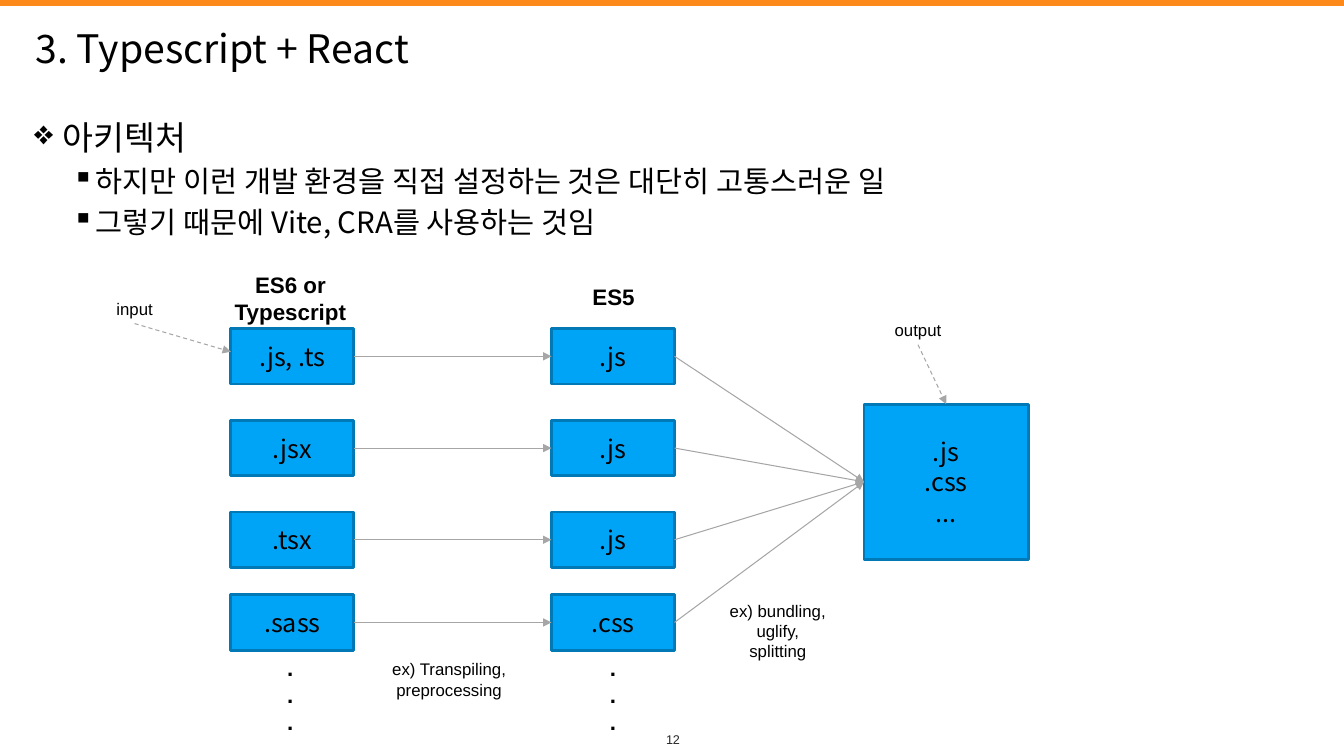
from lxml import etree
from pptx import Presentation
from pptx.dml.color import RGBColor
from pptx.enum.dml import MSO_LINE
from pptx.enum.shapes import MSO_CONNECTOR, MSO_SHAPE
from pptx.enum.text import MSO_ANCHOR, PP_ALIGN
from pptx.oxml.ns import qn
from pptx.util import Inches, Pt

RECT = MSO_SHAPE.RECTANGLE
STRAIGHT = MSO_CONNECTOR.STRAIGHT
DASH = MSO_LINE.DASH
MIDDLE = MSO_ANCHOR.MIDDLE
LEFT, CENTER = PP_ALIGN.LEFT, PP_ALIGN.CENTER
TOP_SIDE, LEFT_SIDE, BOTTOM_SIDE, RIGHT_SIDE = range(4)

NOTO, ARIAL = "Noto Sans CJK KR", "Arial"
BLACK, GRAY, BLUE, EDGE = "000000", "A6A6A6", "00A4F6", "0079B6"

BOX_W, BOX_H = 1.22, 0.55
IN_X, OUT_X = 2.29, 5.47
ROWS = [
    (3.26, ".js, .ts", ".js"),
    (4.17, ".jsx", ".js"),
    (5.08, ".tsx", ".js"),
    (5.9, ".sass", ".css"),
]
BULLETS = [
    # text, size, bullet, indent, hanging
    ("아키텍처", 24, "❖", 0.28, 0.28),
    ("하지만 이런 개발 환경을 직접 설정하는 것은 대단히 고통스러운 일", 21, "▪", 0.61, 0.23),
    ("그렇기 때문에 Vite, CRA를 사용하는 것임", 21, "▪", 0.61, 0.23),
]


def color(code):
    return RGBColor.from_string(code)


def style(par, size, font, align=LEFT, bold=False, code=BLACK):
    par.alignment = align
    for run in par.runs:
        run.font.size = Pt(size)
        run.font.name = font
        run.font.bold = bold
        run.font.color.rgb = color(code)
        props = run.font._element
        etree.SubElement(props, qn("a:ea")).set("typeface", font)


def add_label(slide, text, x, y, w, h, size=12, align=CENTER, bold=False, code=BLACK):
    label = slide.shapes.add_textbox(Inches(x), Inches(y), Inches(w), Inches(h))
    frame = label.text_frame
    frame.word_wrap = True
    frame.text = text
    for par in frame.paragraphs:
        style(par, size, ARIAL, align, bold, code)
    return label


def add_box(slide, text, x, y, w=BOX_W, h=BOX_H):
    box = slide.shapes.add_shape(RECT, Inches(x), Inches(y), Inches(w), Inches(h))
    box.shadow.inherit = False
    box.fill.solid()
    box.fill.fore_color.rgb = color(BLUE)
    box.line.color.rgb = color(EDGE)
    box.line.width = Pt(2)
    frame = box.text_frame
    frame.vertical_anchor = MIDDLE
    frame.text = text
    for par in frame.paragraphs:
        style(par, 18, NOTO, CENTER)
    return box


def add_arrow(slide, start, side, end, goal=LEFT_SIDE, dash=False):
    """Join a shape's side to another shape, or to an (x, y) point."""
    point = end if isinstance(end, tuple) else (0, 0)
    arrow = slide.shapes.add_connector(
        STRAIGHT, 0, 0, Inches(point[0]), Inches(point[1]))
    arrow.begin_connect(start, side)
    if not isinstance(end, tuple):
        arrow.end_connect(end, goal)
    arrow.line.color.rgb = color(GRAY)
    arrow.line.width = Pt(0.75)
    if dash:
        arrow.line.dash_style = DASH
    head = etree.SubElement(arrow.line._get_or_add_ln(), qn("a:tailEnd"))
    head.set("type", "triangle")
    etree.SubElement(arrow._element.spPr, qn("a:effectLst"))


def add_title(slide, text):
    title = slide.shapes.title
    title.left, title.top = Inches(0.25), Inches(0.15)
    title.width, title.height = Inches(12), Inches(0.65)
    title.text_frame.text = text
    title.text_frame.vertical_anchor = MIDDLE
    style(title.text_frame.paragraphs[0], 28, NOTO)


def add_bullets(slide):
    body = slide.shapes.add_textbox(
        Inches(0.24), Inches(1.11), Inches(12.85), Inches(1.4))
    frame = body.text_frame
    frame.word_wrap = True
    frame.text = "\n".join(item[0] for item in BULLETS)
    for par, (_, size, mark, indent, hang) in zip(frame.paragraphs, BULLETS):
        style(par, size, NOTO)
        par.space_before = Pt(size * 0.2)
        props = par._p.get_or_add_pPr()
        props.set("marL", str(Inches(indent)))
        props.set("indent", str(-Inches(hang)))
        etree.SubElement(props, qn("a:buChar")).set("char", mark)


def add_bar(slide, width):
    bar = slide.shapes.add_shape(RECT, 0, 0, width, Inches(0.06))
    bar.shadow.inherit = False
    bar.fill.solid()
    bar.fill.fore_color.rgb = color("FC8919")
    bar.line.fill.background()


def add_flow(slide):
    # Bundle that every compiled file feeds
    bundle = add_box(slide, ".js\n.css\n...", 8.57, 4.01, 1.63, 1.54)

    # Source files, compiled files and their arrows
    for y, source, target in ROWS:
        left = add_box(slide, source, IN_X, y)
        right = add_box(slide, target, OUT_X, y)
        add_arrow(slide, left, RIGHT_SIDE, right)
        add_arrow(slide, right, RIGHT_SIDE, bundle)

    # Column heads and trailing dots
    add_label(slide, "ES6 or Typescript", 2.09, 2.64, 1.58, 0.64, 16, bold=True)
    add_label(slide, "ES5", 5.76, 2.76, 0.65, 0.37, 16, bold=True)
    for x in (2.75, 5.95):
        add_label(slide, ".\n.\n.", x, 6.44, 0.28, 0.91, 16, LEFT, True)

    # Step notes
    add_label(slide, "ex) Transpiling,\npreprocessing", 3.72, 6.49, 1.47, 0.51)
    add_label(slide, "ex) bundling,\nuglify,\nsplitting", 6.98, 5.91, 1.47, 0.71)

    # Input and output callouts
    entry = add_label(slide, "input", 0.84, 2.91, 0.99, 0.3)
    add_arrow(slide, entry, BOTTOM_SIDE, (IN_X, 3.49), dash=True)
    result = add_label(slide, "output", 8.61, 3.12, 0.99, 0.3)
    add_arrow(slide, result, BOTTOM_SIDE, bundle, TOP_SIDE, dash=True)


def add_number(slide):
    label = add_label(slide, "12", 6.48, 7.25, 0.39, 0.17, 9, code="262626")
    frame = label.text_frame
    frame.vertical_anchor = MIDDLE
    frame.margin_left = frame.margin_right = 0
    frame.margin_top = frame.margin_bottom = 0


def main():
    deck = Presentation()
    deck.slide_width, deck.slide_height = Inches(13.33), Inches(7.5)
    slide = deck.slides.add_slide(deck.slide_layouts[5])
    add_bar(slide, deck.slide_width)
    add_title(slide, "3. Typescript + React")
    add_bullets(slide)
    add_flow(slide)
    add_number(slide)
    deck.save("out.pptx")


if __name__ == "__main__":
    main()
